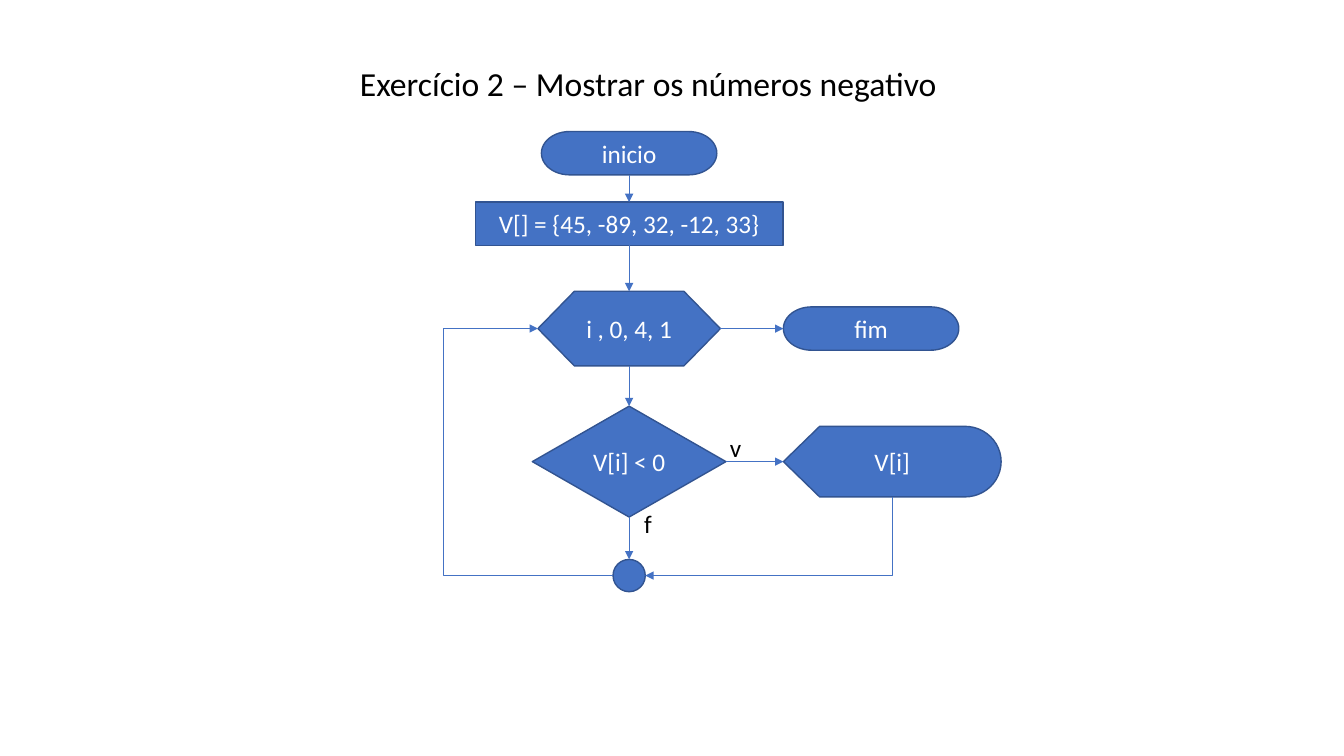
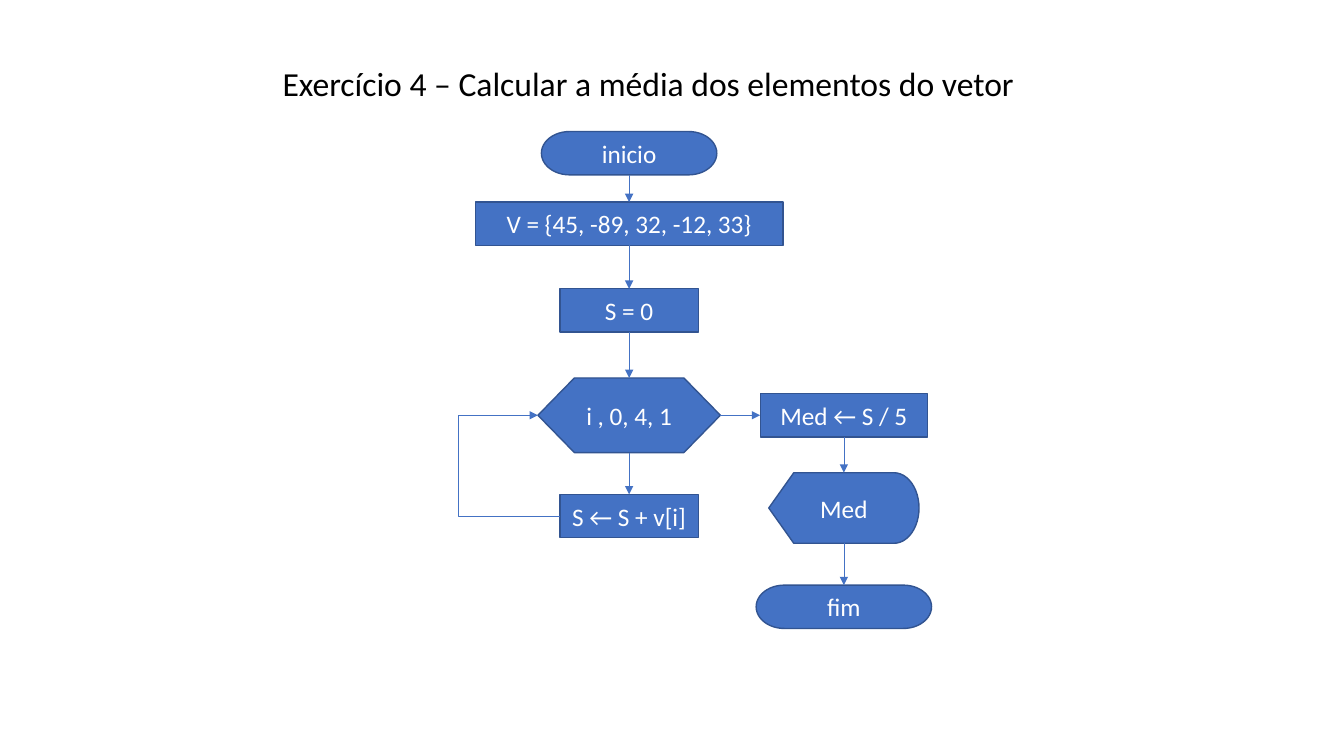
from dataclasses import dataclass
from lxml.etree import SubElement
from pptx import Presentation
from pptx.dml.color import RGBColor
from pptx.enum.shapes import MSO_CONNECTOR, MSO_SHAPE
from pptx.enum.text import MSO_ANCHOR, MSO_AUTO_SIZE, PP_ALIGN
from pptx.oxml.ns import qn
from pptx.util import Inches, Pt

TOP, LEFT, BOTTOM, RIGHT = range(4)
AXIS = 6.24
BAR = 0.43


@dataclass(frozen=True)
class Theme:
    font: str = "Calibri"
    fill: RGBColor = RGBColor(0x44, 0x72, 0xC4)
    edge: RGBColor = RGBColor(0x32, 0x54, 0x91)
    light: RGBColor = RGBColor(0xFF, 0xFF, 0xFF)
    dark: RGBColor = RGBColor(0, 0, 0)
    head: Pt = Pt(24)
    body: Pt = Pt(18)
    rim: Pt = Pt(1)
    wire: Pt = Pt(0.5)


class Chart:
    def __init__(self, deck, theme):
        self.deck, self.theme = deck, theme
        self.slide = None

    def page(self, title):
        self.slide = self.deck.slides.add_slide(self.deck.slide_layouts[5])
        box = self.slide.shapes.title
        box.left, box.top = Inches(1.43), Inches(0.65)
        box.width, box.height = Inches(10), Inches(0.43)
        frame = box.text_frame
        frame.auto_size = MSO_AUTO_SIZE.NONE
        frame.vertical_anchor = MSO_ANCHOR.TOP
        para = self.words(frame, title, self.theme.head, self.theme.dark)
        para.alignment = PP_ALIGN.CENTER
        para.line_spacing = 0.8
        para.space_before = Pt(10)

    def words(self, frame, text, size, color):
        para = frame.paragraphs[0]
        para.text = text
        para.font.name = self.theme.font
        para.font.size = size
        para.font.color.rgb = color
        return para

    def node(self, kind, text, x, y, wide, high=BAR):
        shape = self.slide.shapes.add_shape(
            kind, Inches(x - wide / 2), Inches(y - high / 2), Inches(wide), Inches(high))
        shape.shadow.inherit = False
        shape.fill.solid()
        shape.fill.fore_color.rgb = self.theme.fill
        shape.line.color.rgb = self.theme.edge
        shape.line.width = self.theme.rim
        if text:
            frame = shape.text_frame
            frame.vertical_anchor = MSO_ANCHOR.MIDDLE
            para = self.words(frame, text, self.theme.body, self.theme.light)
            para.alignment = PP_ALIGN.CENTER
        return shape

    def pill(self, text, x, y):
        return self.node(MSO_SHAPE.FLOWCHART_TERMINATOR, text, x, y, 1.74)

    def step(self, text, x, y, wide):
        return self.node(MSO_SHAPE.FLOWCHART_PROCESS, text, x, y, wide)

    def loop(self, y):
        return self.node(MSO_SHAPE.FLOWCHART_PREPARATION, "i , 0, 4, 1", AXIS, y, 1.81, 0.74)

    def show(self, text, x, y, wide):
        return self.node(MSO_SHAPE.FLOWCHART_DISPLAY, text, x, y, wide, 0.7)

    def label(self, text, x, y):
        box = self.slide.shapes.add_textbox(Inches(x), Inches(y), Inches(0.29), Inches(0.4))
        box.text_frame.word_wrap = False
        self.words(box.text_frame, text, self.theme.body, self.theme.dark)

    def port(self, shape, side):
        x = {LEFT: 0, RIGHT: shape.width}.get(side, shape.width // 2)
        y = {TOP: 0, BOTTOM: shape.height}.get(side, shape.height // 2)
        return shape.left + x, shape.top + y

    def wire(self, kind, start, end):
        line = self.slide.shapes.add_connector(kind, *start, *end)
        line.line.color.rgb = self.theme.fill
        line.line.width = self.theme.wire
        props = line._element.spPr
        SubElement(props.find(qn("a:ln")), qn("a:tailEnd"), type="triangle")
        SubElement(props, qn("a:effectLst"))
        return line

    def link(self, first, last, out=BOTTOM, into=TOP):
        line = self.wire(MSO_CONNECTOR.STRAIGHT, self.port(first, out), self.port(last, into))
        line.begin_connect(first, out)
        line.end_connect(last, into)

    def chain(self, *nodes):
        for first, last in zip(nodes, nodes[1:]):
            self.link(first, last)

    def bend(self, first, out, last, into, via):
        start, end = self.port(first, out), self.port(last, into)
        line = self.wire(MSO_CONNECTOR.ELBOW, start, end)
        ratio = (via - start[0]) / (end[0] - start[0])
        geom = line._element.spPr.find(qn("a:prstGeom"))
        guides = geom.find(qn("a:avLst"))
        if guides is None:
            guides = SubElement(geom, qn("a:avLst"))
        SubElement(guides, qn("a:gd"), name="adj1", fmla=f"val {round(ratio * 100000)}")

    def intro(self, title, data):
        self.page(title)
        start = self.pill("inicio", AXIS, 1.52)
        array = self.step(data, AXIS, 2.22, 3.05)
        self.link(start, array)
        return array


def negatives(chart):
    array = chart.intro("Exercício 2 – Mostrar os números negativo",
                        "V[] = {45, -89, 32, -12, 33}")
    loop = chart.loop(3.26)
    test = chart.node(MSO_SHAPE.FLOWCHART_DECISION, "V[i] < 0", AXIS, 4.58, 1.92, 1.1)
    join = chart.node(MSO_SHAPE.OVAL, "", AXIS, 5.71, 0.32, 0.32)
    end = chart.pill("fim", 8.64, 3.26)
    show = chart.show("V[i]", 8.85, 4.58, 2.16)
    chart.chain(array, loop, test, join)
    chart.link(loop, end, RIGHT, LEFT)
    chart.link(test, show, RIGHT, LEFT)
    chart.bend(show, BOTTOM, join, RIGHT, chart.port(show, BOTTOM)[0])
    chart.bend(join, LEFT, loop, LEFT, Inches(4.4))
    chart.label("v", 7.14, 4.24)
    chart.label("f", 6.29, 4.99)


def average(chart):
    side = 8.37
    array = chart.intro("Exercício 4 – Calcular a média dos elementos do vetor",
                        "V = {45, -89, 32, -12, 33}")
    zero = chart.step("S = 0", AXIS, 3.08, 1.37)
    loop = chart.loop(4.12)
    total = chart.step("S ← S + v[i]", AXIS, 5.12, 1.37)
    mean = chart.step("Med ← S / 5", side, 4.12, 1.66)
    show = chart.show("Med", side, 5.04, 1.49)
    end = chart.pill("fim", side, 6.02)
    chart.chain(array, zero, loop, total)
    chart.chain(mean, show, end)
    chart.link(loop, mean, RIGHT, LEFT)
    chart.bend(total, LEFT, loop, LEFT, Inches(4.55))


def main():
    deck = Presentation()
    deck.slide_width, deck.slide_height = Inches(13.33), Inches(7.5)
    chart = Chart(deck, Theme())
    negatives(chart)
    average(chart)
    deck.save("out.pptx")


if __name__ == "__main__":
    main()
